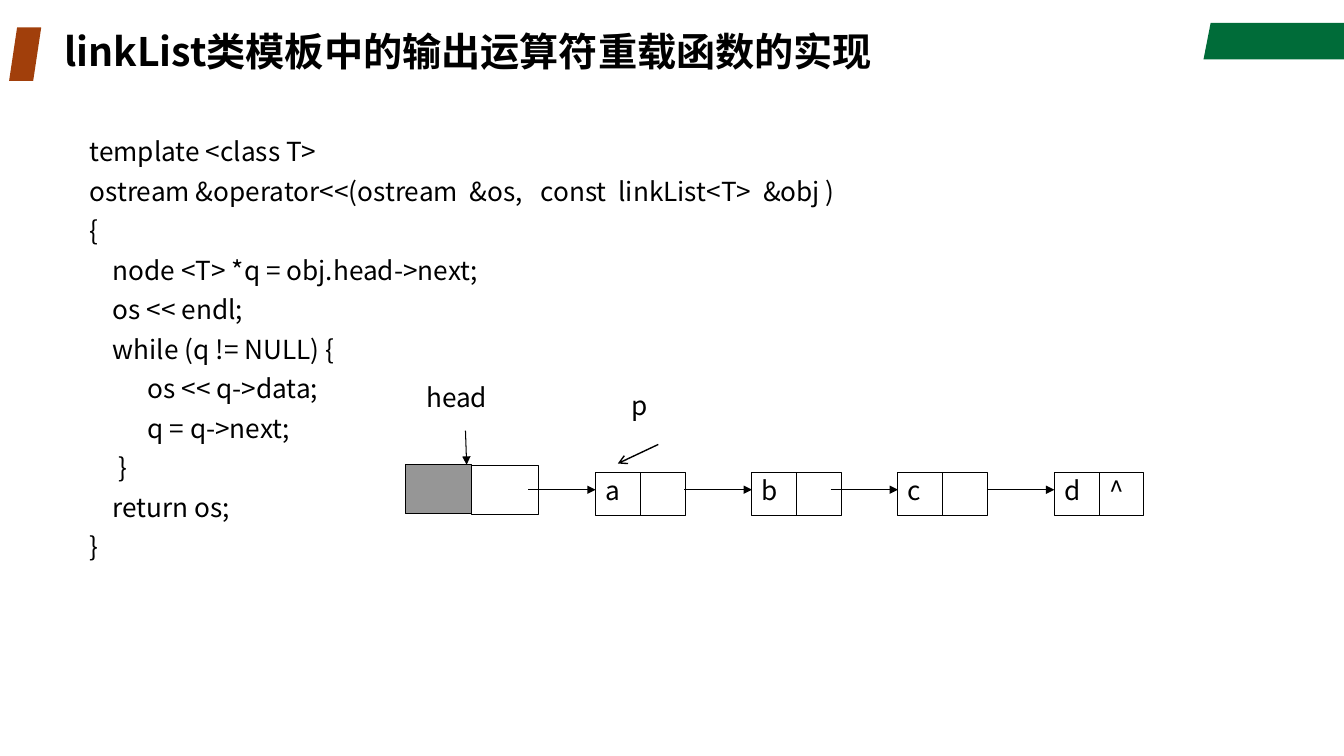
from lxml import etree
from pptx import Presentation
from pptx import util as u
from pptx.dml.color import RGBColor
from pptx.enum import shapes, text
from pptx.oxml import ns

BLACK = RGBColor(0x00, 0x00, 0x00)
WHITE = RGBColor(0xFF, 0xFF, 0xFF)
GREY = RGBColor(0x96, 0x96, 0x96)
GREEN = RGBColor(0x00, 0x6C, 0x39)
RUST = RGBColor(0xA1, 0x3F, 0x0B)

TITLE = "linkList类模板中的输出运算符重载函数的实现"
SPACE = 0.146  # width of one indent step, cm
# (indent steps, code)
CODE = [
    (0, "template <class T>"),
    (0, "ostream &operator<<(ostream  &os,   const  linkList<T>  &obj )"),
    (0, "{"),
    (4, "node <T> *q = obj.head->next;"),
    (4, "os << endl;"),
    (4, "while (q != NULL) {"),
    (10, "os << q->data;"),
    (10, "q = q->next;"),
    (5, "}"),
    (4, "return os;"),
    (0, "}"),
]
NODES = {"a": 15.01, "b": 18.95, "c": 22.63, "d": 26.57}
CELL_WIDTH, CELL_HEIGHT, CELL_TOP = 1.13, 1.07, 11.91
LINK_Y, LINK_LENGTH = 12.34, 1.7


class SlideBuilder:
    font_name = "Noto Sans CJK SC"
    line_width = 0.75
    text_size = 18.7

    def __init__(self, slide):
        self.slide = slide

    def finish(self, shape, fill, line):
        shape.shadow.inherit = False
        if fill is None:
            shape.fill.background()
        else:
            shape.fill.solid()
            shape.fill.fore_color.rgb = fill
        if line is None:
            shape.line.fill.background()
        else:
            shape.line.color.rgb = line
            shape.line.width = u.Pt(self.line_width)
        return shape

    def box(self, left, top, width, height, fill=None, line=BLACK,
            kind=shapes.MSO_SHAPE.RECTANGLE):
        shape = self.slide.shapes.add_shape(
            kind, u.Cm(left), u.Cm(top), u.Cm(width), u.Cm(height))
        return self.finish(shape, fill, line)

    def outline(self, points, fill):
        corners = [(u.Cm(x), u.Cm(y)) for x, y in points]
        builder = self.slide.shapes.build_freeform(*corners[0])
        builder.add_line_segments(corners[1:], close=True)
        return self.finish(builder.convert_to_shape(), fill, None)

    def arrow(self, start, end, width=line_width, head="triangle"):
        connector = self.slide.shapes.add_connector(
            shapes.MSO_CONNECTOR.STRAIGHT,
            *(u.Cm(value) for value in (*start, *end)))
        connector.line.color.rgb = BLACK
        connector.line.width = u.Pt(width)
        line = connector.line._get_or_add_ln()
        etree.SubElement(line, ns.qn("a:tailEnd"), type=head)
        etree.SubElement(connector._element.spPr, ns.qn("a:effectLst"))

    def text(self, left, top, width, height, lines, size=text_size, bold=False,
             anchor=text.MSO_ANCHOR.TOP, space_before=0):
        shape = self.slide.shapes.add_textbox(
            u.Cm(left), u.Cm(top), u.Cm(width), u.Cm(height))
        frame = shape.text_frame
        frame.word_wrap = True
        frame.vertical_anchor = anchor
        font_format = {"name": self.font_name, "size": u.Pt(size), "bold": bold}
        for index, (steps, words) in enumerate(lines):
            paragraph = frame.add_paragraph() if index else frame.paragraphs[0]
            paragraph.line_spacing = 0.9
            paragraph.space_before = u.Pt(space_before)
            if steps:
                properties = paragraph._p.get_or_add_pPr()
                properties.set("marL", str(int(u.Cm(steps * SPACE))))
            run = paragraph.add_run()
            run.text = words
            for name, value in font_format.items():
                setattr(run.font, name, value)
            run.font.color.rgb = BLACK
            etree.SubElement(run._r.get_or_add_rPr(), ns.qn("a:ea"),
                             typeface=self.font_name)

    def label(self, left, top, width, height, words):
        self.text(left, top, width, height, [(0, words)])


def main():
    presentation = Presentation()
    presentation.slide_width = u.Cm(33.87)
    presentation.slide_height = u.Cm(19.05)
    slide = presentation.slides.add_slide(presentation.slide_layouts[6])
    builder = SlideBuilder(slide)

    # Header
    builder.outline([(30.51, 0.58), (33.87, 0.58), (33.87, 1.5), (30.33, 1.5)], GREEN)
    marker = builder.box(0.23, 0.69, 0.81, 1.35, RUST, None,
                         shapes.MSO_SHAPE.PARALLELOGRAM)
    marker.adjustments[0] = 0.25
    builder.text(1.37, 0.69, 23.78, 1.35, [(0, TITLE)], size=28, bold=True,
                 anchor=text.MSO_ANCHOR.MIDDLE)

    # Code
    builder.text(2.01, 3.38, 31.19, 12.78, CODE, space_before=8)

    # Head node
    builder.box(10.21, 11.71, 1.68, 1.24, GREY)
    builder.box(11.89, 11.73, 1.68, 1.24, WHITE)
    builder.label(10.49, 9.58, 4.17, 1.27, "head")
    builder.arrow((11.73, 10.85), (11.76, 11.71))

    # Linked nodes
    for name, left in NODES.items():
        for column in range(2):
            builder.box(left + column * CELL_WIDTH, CELL_TOP, CELL_WIDTH, CELL_HEIGHT)
        builder.label(left, CELL_TOP, CELL_WIDTH, CELL_HEIGHT, name)
        builder.arrow((left - LINK_LENGTH, LINK_Y), (left, LINK_Y))
    builder.label(NODES["d"] + CELL_WIDTH, CELL_TOP, 1.42, CELL_HEIGHT, "^")

    # Pointer p
    builder.arrow((16.59, 11.2), (15.57, 11.68), width=1, head="arrow")
    builder.label(15.67, 9.78, 1.02, 1.07, "p")

    presentation.save("out.pptx")


if __name__ == "__main__":
    main()
